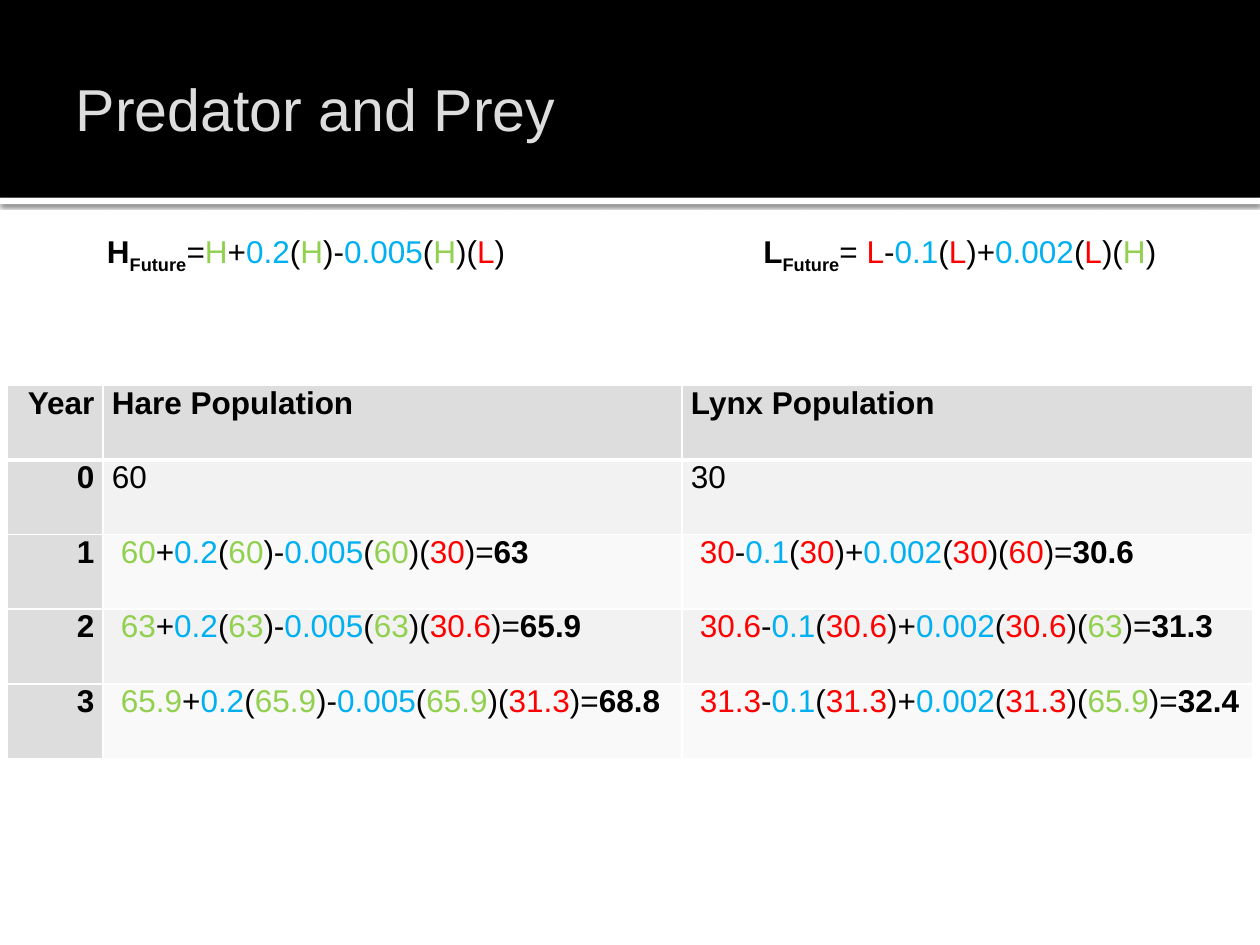
import pptx
import pptx.dml.color
import pptx.enum.shapes
import pptx.enum.text
import pptx.oxml
import pptx.oxml.ns
import pptx.util

WIDE, HIGH = pptx.util.Inches(10), pptx.util.Inches(7.5)
FONT = "Arial"
HUES = {
    "ink": "000000", "paper": "FFFFFF", "head": "DDDDDD",
    "odd": "F2F2F2", "even": "F9F9F9",
    "hare": "92D050", "lynx": "FF0000", "rate": "00B0F0",
}
BAND = 1.57 / 7.5


def hue(name):
    return pptx.dml.color.RGBColor.from_string(HUES[name])


def scale(box):
    """Turn shares of the slide into lengths."""
    return [round(part * side) for part, side in zip(box, (WIDE, HIGH) * 2)]


def style(para, size=18, tint="ink", bold=None):
    para.font.name = FONT
    para.font.size = pptx.util.Pt(size)
    para.font.color.rgb = hue(tint)
    para.font.bold = bold


def write(para, parts):
    """Add runs from (text, colour name) pairs."""
    for text, tint in parts:
        run = para.add_run()
        run.text = text
        run.font.color.rgb = hue(tint)
    return run


def growth(own, signs, rates, pair):
    """Give the runs of own ± rate(own) ± rate(first)(second)."""
    return [own, (signs[0], "ink"), (rates[0], "rate"), ("(", "ink"), own,
            (")" + signs[1], "ink"), (rates[1], "rate"), ("(", "ink"), pair[0],
            (")(", "ink"), pair[1], (")", "ink")]


def hares(hare, lynx):
    own = (hare, "hare")
    return growth(own, "+-", ("0.2", "0.005"), (own, (lynx, "lynx")))


def lynxes(hare, lynx, tint="hare"):
    own = (lynx, "lynx")
    return growth(own, "-+", ("0.1", "0.002"), (own, (hare, tint)))


def add_bar(slide, box, tint):
    bar = slide.shapes.add_shape(
        pptx.enum.shapes.MSO_SHAPE.RECTANGLE, *scale(box))
    bar.shadow.inherit = False
    bar.fill.solid()
    bar.fill.fore_color.rgb = hue(tint)
    bar.line.fill.background()
    return bar


def add_shade(shape):
    glow = shape._element.spPr.find(pptx.oxml.ns.qn("a:effectLst"))
    glow.append(pptx.oxml.parse_xml(
        f'<a:outerShdw {pptx.oxml.ns.nsdecls("a")} blurRad="31750" '
        'dist="10160" dir="5400000" algn="tl" rotWithShape="0">'
        f'<a:srgbClr val="{HUES["ink"]}"><a:alpha val="60000"/></a:srgbClr>'
        '</a:outerShdw>'))


def add_title(slide, box, text):
    title = slide.shapes.title
    title.left, title.top, title.width, title.height = scale(box)
    frame = title.text_frame
    frame.text = text
    frame.margin_right = pptx.util.Inches(0.05)
    frame.vertical_anchor = pptx.enum.text.MSO_ANCHOR.MIDDLE
    para = frame.paragraphs[0]
    para.alignment = pptx.enum.text.PP_ALIGN.LEFT
    style(para, 33.8, "head")


def add_rule(slide, box, name, equals, parts):
    """Place a formula for the future size of one species."""
    frame = slide.shapes.add_textbox(*scale(box)).text_frame
    frame.word_wrap = True
    frame.auto_size = pptx.enum.text.MSO_AUTO_SIZE.SHAPE_TO_FIT_TEXT
    para = frame.paragraphs[0]
    style(para)
    write(para, [(name, "ink")]).font.bold = True
    low = write(para, [("Future", "ink")])
    low.font.bold = True
    low.font._element.set("baseline", "-25000")
    write(para, [(equals, "ink")] + parts)


def edge(cell, row):
    """Draw white borders, thick between the header and the first year."""
    props = cell._tc.get_or_add_tcPr()
    wide = {"T": 3 if row == 1 else 1, "B": 3 if row == 0 else 1}
    for side in "LRTB":
        width = pptx.util.Pt(wide.get(side, 1))
        props.append(pptx.oxml.parse_xml(
            f'<a:ln{side} {pptx.oxml.ns.nsdecls("a")} w="{width}"><a:solidFill>'
            f'<a:srgbClr val="{HUES["paper"]}"/></a:solidFill></a:ln{side}>'))


def fill_cell(cell, row, col, item):
    """Fill a cell with plain text or with a (runs, result) pair."""
    plain = isinstance(item, str)
    edge(cell, row)
    cell.fill.solid()
    shade = "head" if row == 0 or col == 0 else ("even", "odd")[row % 2]
    cell.fill.fore_color.rgb = hue(shade)
    cell.margin_left = pptx.util.Inches(0.07 if plain else 0.14)
    cell.margin_right = pptx.util.Inches(0.07)
    cell.margin_top = cell.margin_bottom = 0
    para = cell.text_frame.paragraphs[0]
    style(para, bold=row == 0 or col == 0)
    if col == 0:
        para.alignment = pptx.enum.text.PP_ALIGN.RIGHT
    if plain:
        para.add_run().text = item
    else:
        parts, total = item
        write(para, parts + [("=", "ink")])
        write(para, [(total, "ink")]).font.bold = True


def add_grid(slide, box, shares, rows):
    spot = scale(box)
    table = slide.shapes.add_table(len(rows), len(shares), *spot).table
    for col, share in zip(table.columns, shares):
        col.width = round(spot[2] * share / sum(shares))
    for r, row in enumerate(rows):
        for c, item in enumerate(row):
            fill_cell(table.cell(r, c), r, c, item)


def make_rows(sizes):
    """Work each year's row out from the sizes of the year before."""
    rows = [("Year", "Hare Population", "Lynx Population"), ("0", *sizes[0])]
    for year, (old, new) in enumerate(zip(sizes, sizes[1:]), 1):
        tint = "lynx" if year == 1 else "hare"
        rows.append((str(year), (hares(*old), new[0]),
                     (lynxes(*old, tint), new[1])))
    return rows


def main():
    deck = pptx.Presentation()
    deck.slide_width, deck.slide_height = WIDE, HIGH
    slide = deck.slides.add_slide(deck.slide_layouts[5])
    add_shade(add_bar(slide, (0, BAND, 1, 0.05 / 7.5), "paper"))
    add_bar(slide, (0, 0, 1, BAND), "ink")
    # The title must lie in front of the bars.
    slide.shapes._spTree.append(slide.shapes.title._element)
    add_title(slide, (0.05, 0.17 / 7.5, 0.9, 1.37 / 7.5), "Predator and Prey")
    sizes = [("60", "30"), ("63", "30.6"), ("65.9", "31.3"), ("68.8", "32.4")]
    add_grid(slide, (0.006, 3.06 / 7.5, 0.988, 2.96 / 7.5),
             (0.76, 4.6, 4.53), make_rows(sizes))
    top, width, height = 1.79 / 7.5, 0.372, 0.4 / 7.5
    add_rule(slide, (0.075, top, width, height), "H", "=", hares("H", "L"))
    add_rule(slide, (0.596, top, width, height), "L", "= ", lynxes("H", "L"))
    deck.save("out.pptx")


if __name__ == "__main__":
    main()
